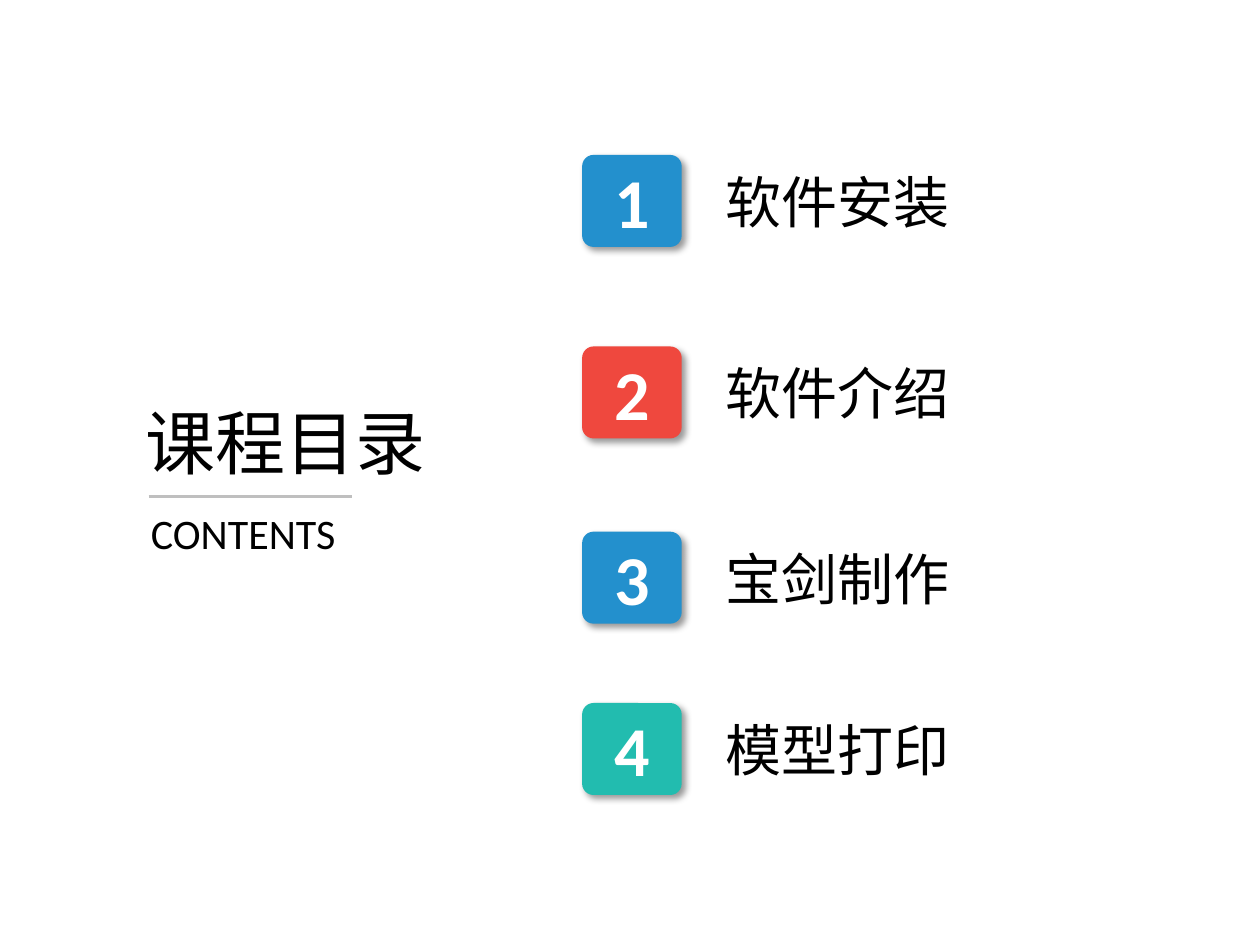
from lxml import etree
from pptx import Presentation
from pptx.dml.color import RGBColor
from pptx.enum.shapes import MSO_CONNECTOR, MSO_SHAPE
from pptx.enum.text import MSO_ANCHOR, MSO_AUTO_SIZE, PP_ALIGN
from pptx.oxml.ns import qn
from pptx.util import Inches, Pt

ROUNDED = MSO_SHAPE.ROUNDED_RECTANGLE
STRAIGHT = MSO_CONNECTOR.STRAIGHT
MIDDLE = MSO_ANCHOR.MIDDLE
GROW = MSO_AUTO_SIZE.SHAPE_TO_FIT_TEXT
LEFT, CENTER, JUSTIFY = PP_ALIGN.LEFT, PP_ALIGN.CENTER, PP_ALIGN.JUSTIFY

COLORS = {
    "text": "000000",
    "number": "FFFFFF",
    "rule": "BFBFBF",
    "shadow": "000000",
    "blue": "2390CD",
    "red": "EF483E",
    "teal": "22BCAF",
}
LATIN_FONT = "Calibri"
CHINESE_FONT = "Noto Sans CJK SC"
CHAPTERS = [
    ("软件安装", "blue", 1.23),
    ("软件介绍", "red", 2.75),
    ("宝剑制作", "blue", 4.22),
    ("模型打印", "teal", 5.58),
]


class ContentsSlide:
    """Holds the style and the slide, and draws each kind of element."""

    def __init__(self, slide):
        self.slide = slide

    def color(self, name):
        return RGBColor.from_string(COLORS[name])

    def set_text(self, frame, wording, size, align, color="text", font=LATIN_FONT, bold=False):
        paragraph = frame.paragraphs[0]
        paragraph.text = wording
        paragraph.alignment = align
        style = paragraph.font
        style.size = Pt(size)
        style.bold = bold
        style.color.rgb = self.color(color)
        style.name = font
        defaults = paragraph._p.pPr.find(qn("a:defRPr"))
        etree.SubElement(defaults, qn("a:ea"), typeface=CHINESE_FONT)

    def label(self, wording, left, top, width, height, size, align=LEFT, wrap=True, font=LATIN_FONT):
        box = self.slide.shapes.add_textbox(
            Inches(left), Inches(top), Inches(width), Inches(height))
        box.text_frame.word_wrap = wrap
        box.text_frame.auto_size = GROW
        self.set_text(box.text_frame, wording, size, align, font=font)

    def badge(self, number, left, top, fill):
        tile = self.slide.shapes.add_shape(
            ROUNDED, Inches(left), Inches(top), Inches(0.79), Inches(0.73))
        tile.adjustments[0] = 0.124
        tile.fill.solid()
        tile.fill.fore_color.rgb = self.color(fill)
        tile.line.fill.background()
        self.cast_shadow(tile)
        tile.text_frame.vertical_anchor = MIDDLE
        self.set_text(tile.text_frame, str(number), 40, CENTER, "number", bold=True)

    def cast_shadow(self, tile):
        tile.shadow.inherit = False
        effects = tile._element.spPr.find(qn("a:effectLst"))
        shadow = etree.SubElement(
            effects, qn("a:outerShdw"), blurRad=str(Pt(4)), dist=str(Pt(3)),
            dir="2700000", algn="tl", rotWithShape="0")
        tint = etree.SubElement(shadow, qn("a:srgbClr"), val=COLORS["shadow"])
        etree.SubElement(tint, qn("a:alpha"), val="40000")

    def rule(self, left, right, top):
        line = self.slide.shapes.add_connector(
            STRAIGHT, Inches(left), Inches(top), Inches(right), Inches(top))
        line.line.color.rgb = self.color("rule")
        line.line.width = Pt(1.5)
        etree.SubElement(line._element.spPr, qn("a:effectLst"))


def main():
    deck = Presentation()
    deck.slide_width, deck.slide_height = Inches(10), Inches(7.5)
    contents = ContentsSlide(deck.slides.add_slide(deck.slide_layouts[6]))

    contents.label("CONTENTS", 1.1, 3.98, 2.24, 0.5, 24, JUSTIFY)
    contents.label("课程目录", 1.06, 3.12, 2.45, 0.77, 40, wrap=False, font=CHINESE_FONT)
    contents.rule(1.18, 2.79, 3.94)

    for number, (chapter, fill, top) in enumerate(CHAPTERS, start=1):
        contents.label(chapter, 5.66, top + 0.05, 3.27, 0.67, 32)
        contents.badge(number, 4.62, top, fill)

    deck.save("out.pptx")


if __name__ == "__main__":
    main()
